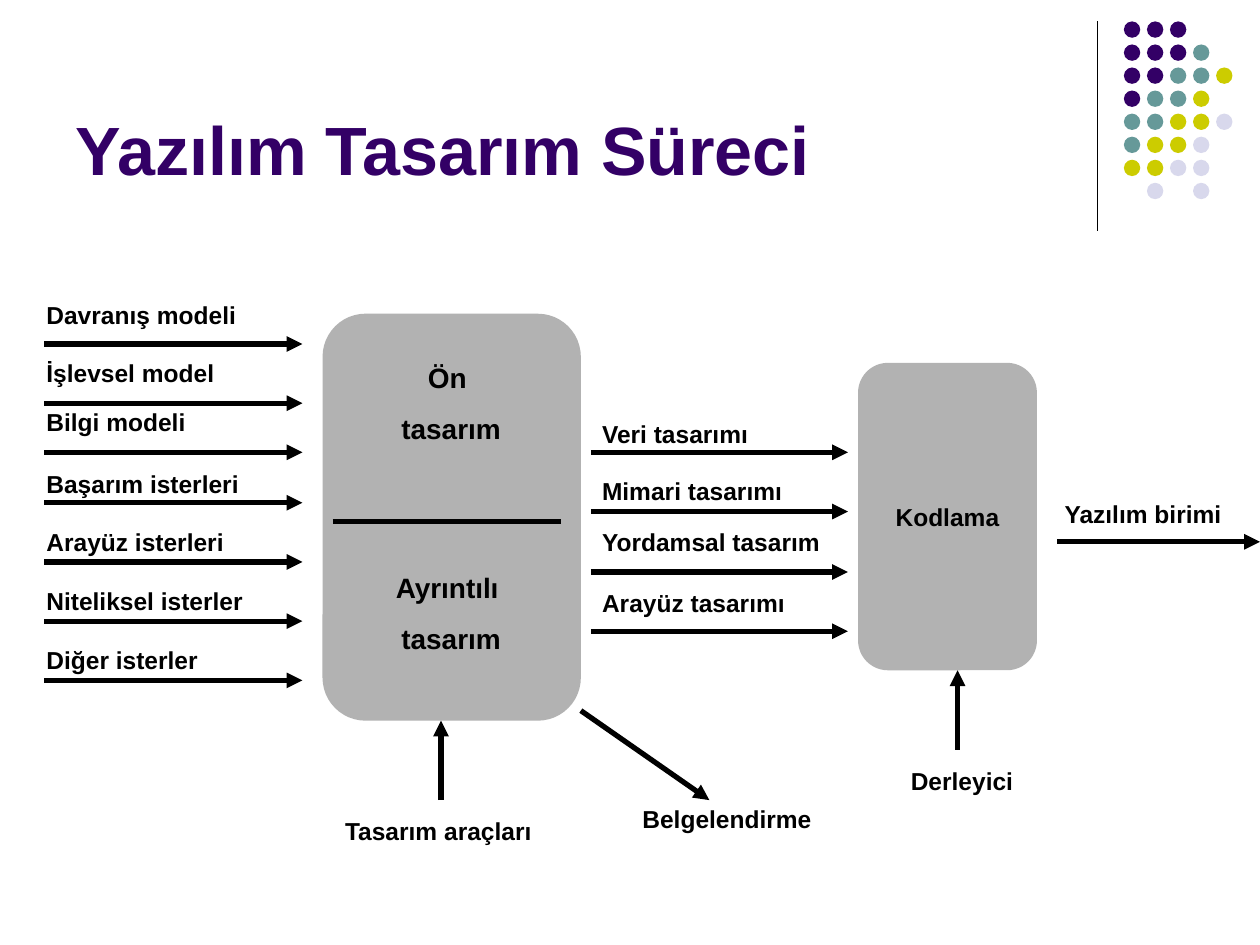
from lxml.etree import SubElement
from pptx import Presentation
from pptx.dml.color import RGBColor
from pptx.enum.shapes import MSO_CONNECTOR, MSO_SHAPE
from pptx.enum.text import MSO_ANCHOR, MSO_AUTO_SIZE, PP_ALIGN
from pptx.oxml.ns import qn
from pptx.util import Inches, Pt

BLACK = RGBColor(0x00, 0x00, 0x00)
GRAY = RGBColor(0xB2, 0xB2, 0xB2)
PURPLE = RGBColor(0x33, 0x00, 0x66)
TEAL = RGBColor(0x66, 0x99, 0x99)
YELLOW = RGBColor(0xCC, 0xCC, 0x00)
LAVENDER = RGBColor(0xD8, 0xD8, 0xEC)
FONT = "Arial"

TITLE = "Yazılım Tasarım Süreci"
DOT_COLORS = {"P": PURPLE, "T": TEAL, "Y": YELLOW, "L": LAVENDER}
DOT_ROWS = ["PPP", "PPPT", "PPTTY", "PTTY", "TTYYL", "TYYL", "YYLL", " L L"]
DOT_LEFT, DOT_TOP, DOT_PITCH, DOT_SIZE = 8.92, 0.17, 0.183, 0.13

# Each flow: label, label top, arrow height on the slide
INPUTS = [
    ("Davranış modeli", 2.33, 2.73),
    ("İşlevsel model", 2.79, 3.2),
    ("Bilgi modeli", 3.18, 3.59),
    ("Başarım isterleri", 3.67, 3.99),
    ("Arayüz isterleri", 4.13, 4.46),
    ("Niteliksel isterler", 4.6, 4.93),
    ("Diğer isterler", 5.07, 5.4),
]
DESIGNS = [
    ("Veri tasarımı", 3.28, 3.59),
    ("Mimari tasarımı", 3.73, 4.06),
    ("Yordamsal tasarım", 4.13, 4.54),
    ("Arayüz tasarımı", 4.62, 5.01),
]
OUTPUTS = [("Yazılım birimi", 3.91, 4.3)]

# Each group: flows, label left, label width, arrow start, arrow end
FLOW_GROUPS = [
    (INPUTS, 0.27, 2.13, 0.35, 2.4),
    (DESIGNS, 4.68, 2.13, 4.69, 6.73),
    (OUTPUTS, 8.35, 1.65, 8.39, 10),
]

DESIGN_BOX = (2.56, 2.49, 2.05, 3.23)
CODING_BOX = (6.81, 2.88, 1.42, 2.44)
DESIGN_STAGES = [(["Ön ", "tasarım"], 2.81), (["Ayrıntılı ", "tasarım"], 4.48)]

# Each support: label, label left, top and width, arrow start and end
SUPPORTS = [
    ("Tasarım araçları", (2.64, 6.43, 1.97), (3.5, 6.35), (3.5, 5.72)),
    ("Derleyici", (7.13, 6.03, 1.02), (7.6, 5.95), (7.6, 5.32)),
    ("Belgelendirme", (5, 6.33, 1.73), (4.61, 5.64), (5.63, 6.35)),
]


def style(paragraph, size, color=BLACK, alignment=PP_ALIGN.LEFT):
    paragraph.alignment = alignment
    font = paragraph.font
    font.name, font.size, font.bold = FONT, Pt(size), True
    font.color.rgb = color


def add_label(slide, lines, left, top, width, height=0.34, size=14,
              alignment=PP_ALIGN.LEFT):
    box = slide.shapes.add_textbox(*map(Inches, (left, top, width, height)))
    text_frame = box.text_frame
    text_frame.word_wrap = True
    text_frame.text = "\n".join(lines)
    for index, paragraph in enumerate(text_frame.paragraphs):
        style(paragraph, size, alignment=alignment)
        if index:
            paragraph.space_before = Pt(10)


def add_line(slide, start, end, width=3, arrow=True):
    line = slide.shapes.add_connector(
        MSO_CONNECTOR.STRAIGHT, *map(Inches, (*start, *end)))
    line.line.color.rgb = BLACK
    line.line.width = Pt(width)
    if arrow:
        SubElement(line.line._get_or_add_ln(), qn("a:tailEnd"), type="triangle")
    SubElement(line._element.spPr, qn("a:effectLst"))


def add_filled_shape(slide, kind, bounds, color):
    shape = slide.shapes.add_shape(kind, *map(Inches, bounds))
    shape.shadow.inherit = False
    shape.fill.solid()
    shape.fill.fore_color.rgb = color
    shape.line.fill.background()
    return shape


def add_decoration(slide):
    add_line(slide, (8.71, 0.17), (8.71, 1.83), width=0.75, arrow=False)
    for row, colors in enumerate(DOT_ROWS):
        for column, key in enumerate(colors):
            if key in DOT_COLORS:
                bounds = (DOT_LEFT + column * DOT_PITCH,
                          DOT_TOP + row * DOT_PITCH, DOT_SIZE, DOT_SIZE)
                add_filled_shape(slide, MSO_SHAPE.OVAL, bounds, DOT_COLORS[key])


def add_title(slide):
    title = slide.shapes.title
    title.left, title.top, title.width, title.height = map(
        Inches, (0.5, 0.13, 8.25, 1.42))
    text_frame = title.text_frame
    text_frame.text = TITLE
    text_frame.auto_size = MSO_AUTO_SIZE.NONE
    text_frame.vertical_anchor = MSO_ANCHOR.BOTTOM
    style(text_frame.paragraphs[0], 39, PURPLE)


def add_process_boxes(slide):
    add_filled_shape(slide, MSO_SHAPE.ROUNDED_RECTANGLE, DESIGN_BOX, GRAY)
    for lines, top in DESIGN_STAGES:
        add_label(slide, lines, 2.87, top, 1.42, 0.77, 16, PP_ALIGN.CENTER)
    add_line(slide, (2.64, 4.14), (4.45, 4.14), arrow=False)

    coding = add_filled_shape(
        slide, MSO_SHAPE.ROUNDED_RECTANGLE, CODING_BOX, GRAY)
    coding.text_frame.text = "Kodlama"
    coding.text_frame.word_wrap = False
    coding.text_frame.vertical_anchor = MSO_ANCHOR.MIDDLE
    style(coding.text_frame.paragraphs[0], 14, alignment=PP_ALIGN.CENTER)


def main():
    presentation = Presentation()
    presentation.slide_width = Inches(10)
    presentation.slide_height = Inches(7.5)
    slide = presentation.slides.add_slide(presentation.slide_layouts[5])

    add_decoration(slide)
    add_title(slide)
    add_process_boxes(slide)
    for flows, label_left, label_width, start, end in FLOW_GROUPS:
        for label, label_top, arrow_y in flows:
            add_label(slide, [label], label_left, label_top, label_width)
            add_line(slide, (start, arrow_y), (end, arrow_y))
    for label, position, start, end in SUPPORTS:
        add_label(slide, [label], *position)
        add_line(slide, start, end)

    presentation.save("out.pptx")


if __name__ == "__main__":
    main()
